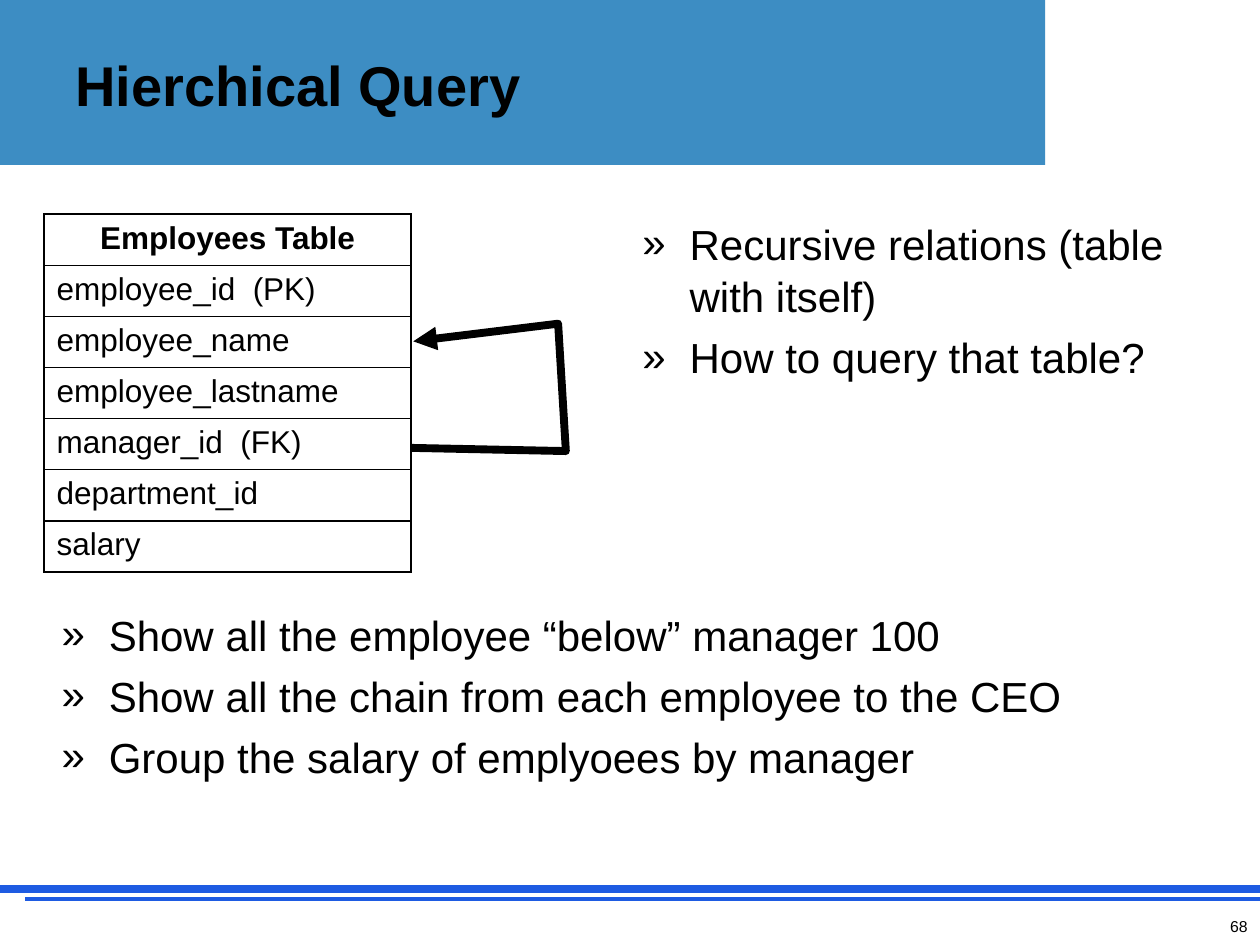
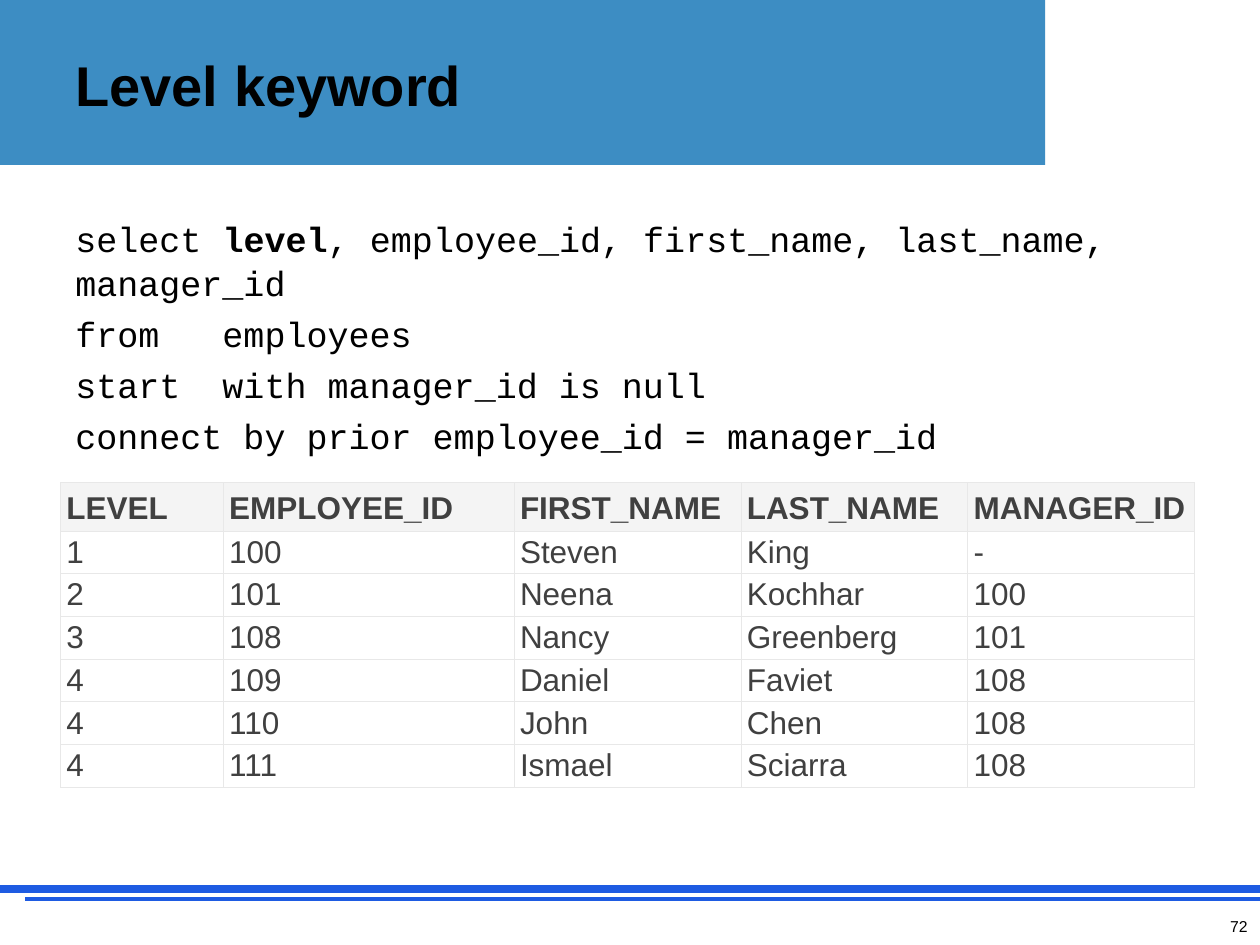
"""Build two slides on hierarchical queries: a recursive table and the level keyword."""
from lxml import etree
from pptx import Presentation, util as u
from pptx.dml.color import RGBColor
from pptx.enum import shapes, text
from pptx.oxml import ns

Pt = u.Pt
COLORS = {"band": "3D8DC3", "rule": "1E5BE2", "black": "000000", "white": "FFFFFF",
          "result_text": "404040", "result_border": "E8E8E8", "result_header": "F4F4F4"}
COLORS = {name: RGBColor.from_string(value) for name, value in COLORS.items()}
LEFT, CENTER, RIGHT = text.PP_ALIGN.LEFT, text.PP_ALIGN.CENTER, text.PP_ALIGN.RIGHT
TOP, MIDDLE, BOTTOM = text.MSO_ANCHOR.TOP, text.MSO_ANCHOR.MIDDLE, text.MSO_ANCHOR.BOTTOM


def add_text(slide, box, lines, size, font="Arial", bold=False, align=LEFT,
             anchor=TOP, bullet=None, line_spacing=None):
    """Add a wrapped text box with one paragraph for each line."""
    shape = slide.shapes.add_textbox(*map(Pt, box))
    frame = shape.text_frame
    frame.word_wrap = True
    frame.vertical_anchor = anchor
    frame.text = "\n".join(lines)
    for index, paragraph in enumerate(frame.paragraphs):
        paragraph.alignment = align
        if line_spacing:
            paragraph.line_spacing = line_spacing
        if index:
            paragraph.space_before = Pt(round(size * 0.21, 1))
        if bullet:
            properties = paragraph._p.get_or_add_pPr()
            properties.set("marL", str(Pt(27)))
            properties.set("indent", str(-Pt(27)))
            etree.SubElement(properties, ns.qn("a:buFont"), typeface=font)
            etree.SubElement(properties, ns.qn("a:buChar"), char=bullet)
        paragraph.font.size = Pt(size)
        paragraph.font.name = font
        paragraph.font.bold = bold
        paragraph.font.color.rgb = COLORS["black"]
    return shape


def add_grid(slide, left, top, widths, heights, rows, color, border, border_width,
             header_fill=None, header_align=LEFT, anchors=(TOP, TOP), margins=None):
    """Add a bordered table whose first row is a bold header."""
    shape = slide.shapes.add_table(len(rows), len(widths), Pt(left), Pt(top),
                                   Pt(sum(widths)), Pt(sum(heights)))
    table = shape.table
    table.first_row = table.horz_banding = False
    for column, width in zip(table.columns, widths):
        column.width = Pt(width)
    for row_index, (row, height, values) in enumerate(zip(table.rows, heights, rows)):
        header = row_index == 0
        row.height = Pt(height)
        for cell, value in zip(row.cells, values):
            cell.text = value
            cell.vertical_anchor = anchors[0 if header else 1]
            if margins:
                cell.margin_left = cell.margin_right = Pt(3.4)
                cell.margin_top = cell.margin_bottom = Pt(margins[0 if header else 1])
            paragraph = cell.text_frame.paragraphs[0]
            paragraph.alignment = header_align if header else LEFT
            paragraph.font.size = Pt(18)
            paragraph.font.name = "Arial"
            paragraph.font.bold = header
            paragraph.font.color.rgb = COLORS[color]
            properties = cell._tc.get_or_add_tcPr()
            for side in ("lnL", "lnR", "lnT", "lnB"):
                line = etree.SubElement(properties, ns.qn(f"a:{side}"), w=str(Pt(border_width)))
                fill = etree.SubElement(line, ns.qn("a:solidFill"))
                etree.SubElement(fill, ns.qn("a:srgbClr"), val=str(COLORS[border]))
            if header_fill:
                cell.fill.solid()
                cell.fill.fore_color.rgb = COLORS[header_fill if header else "white"]
            else:
                cell.fill.background()


presentation = Presentation()
presentation.slide_width, presentation.slide_height = Pt(720), Pt(540)

slides = []
for title, number in (("Hierchical Query", "68"), ("Level keyword", "72")):
    slide = presentation.slides.add_slide(presentation.slide_layouts[6])
    band = slide.shapes.add_shape(shapes.MSO_SHAPE.RECTANGLE, 0, 0, Pt(597.3), Pt(94.3))
    band.shadow.inherit = False
    band.fill.solid()
    band.fill.fore_color.rgb = COLORS["band"]
    band.line.fill.background()
    for start, y, width in ((0, 508, 4.5), (14.4, 513.8, 2.25)):
        rule = slide.shapes.add_connector(shapes.MSO_CONNECTOR.STRAIGHT,
                                          Pt(start), Pt(y), Pt(720), Pt(y))
        rule.line.color.rgb = COLORS["rule"]
        rule.line.width = Pt(width)
        etree.SubElement(rule._element.spPr, ns.qn("a:effectLst"))
    add_text(slide, (36, 9.4, 494, 77.8), [title], 32, bold=True, anchor=MIDDLE)
    add_text(slide, (552, 520.6, 168, 19.4), [number], 9, align=RIGHT)
    slides.append(slide)
hierarchy_slide, level_slide = slides

fields = ["Employees Table", "employee_id  (PK)", "employee_name", "employee_lastname",
          "manager_id  (FK)", "department_id", "salary"]
add_grid(hierarchy_slide, 25.2, 122.4, [209.8], [29.2] * len(fields),
         [[field] for field in fields], "black", "black", 1, header_align=CENTER)

builder = hierarchy_slide.shapes.build_freeform(Pt(235.4), Pt(256))
builder.add_line_segments([(Pt(x), Pt(y)) for x, y in ((323.4, 257.8), (319, 185), (236.2, 195.1))],
                          close=False)
self_reference = builder.convert_to_shape()
self_reference.shadow.inherit = False
self_reference.fill.background()
self_reference.line.color.rgb = COLORS["black"]
self_reference.line.width = Pt(4.5)
outline = self_reference.line._get_or_add_ln()
etree.SubElement(outline, ns.qn("a:round"))
etree.SubElement(outline, ns.qn("a:tailEnd"), type="triangle")

add_text(hierarchy_slide, (360, 120, 324, 384),
         ["Recursive relations (table with itself)", "How to query that table?"],
         24, bullet="»", line_spacing=1.04)
add_text(hierarchy_slide, (28.1, 343.4, 590.4, 62.6),
         ["Show all the employee “below” manager 100",
          "Show all the chain from each employee to the CEO",
          "Group the salary of emplyoees by manager"],
         24, bullet="»", line_spacing=1.04)

query = add_text(level_slide, (36, 120, 648, 384),
                 ["select ", "from   employees", "start  with manager_id is null",
                  "connect by prior employee_id = manager_id"],
                 20, font="Courier New", line_spacing=1.04)
select_line = query.text_frame.paragraphs[0]
for words, bold in (("level", True), (", employee_id, first_name, last_name, manager_id", False)):
    run = select_line.add_run()
    run.text = words
    run.font.bold = bold

results = [
    ["LEVEL", "EMPLOYEE_ID", "FIRST_NAME", "LAST_NAME", "MANAGER_ID"],
    ["1", "100", "Steven", "King", "-"],
    ["2", "101", "Neena", "Kochhar", "100"],
    ["3", "108", "Nancy", "Greenberg", "101"],
    ["4", "109", "Daniel", "Faviet", "108"],
    ["4", "110", "John", "Chen", "108"],
    ["4", "111", "Ismael", "Sciarra", "108"],
]
add_grid(level_slide, 34.6, 275.8, [93, 166.2, 129.6, 129.6, 129.6],
         [26.9] + [23.6] * (len(results) - 1), results, "result_text", "result_border", 0.43,
         header_fill="result_header", anchors=(BOTTOM, MIDDLE), margins=(3, 1.4))

presentation.save("out.pptx")
